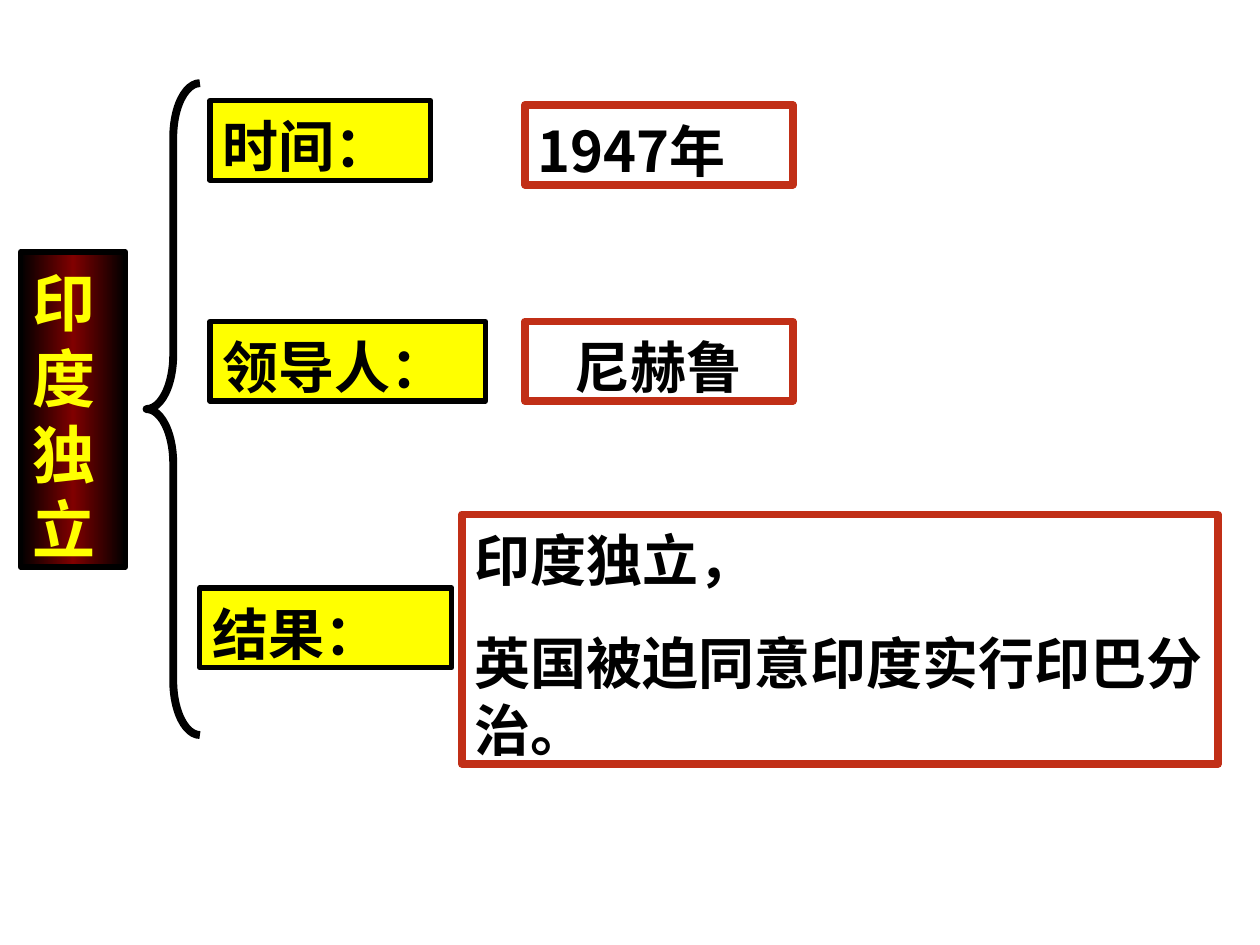
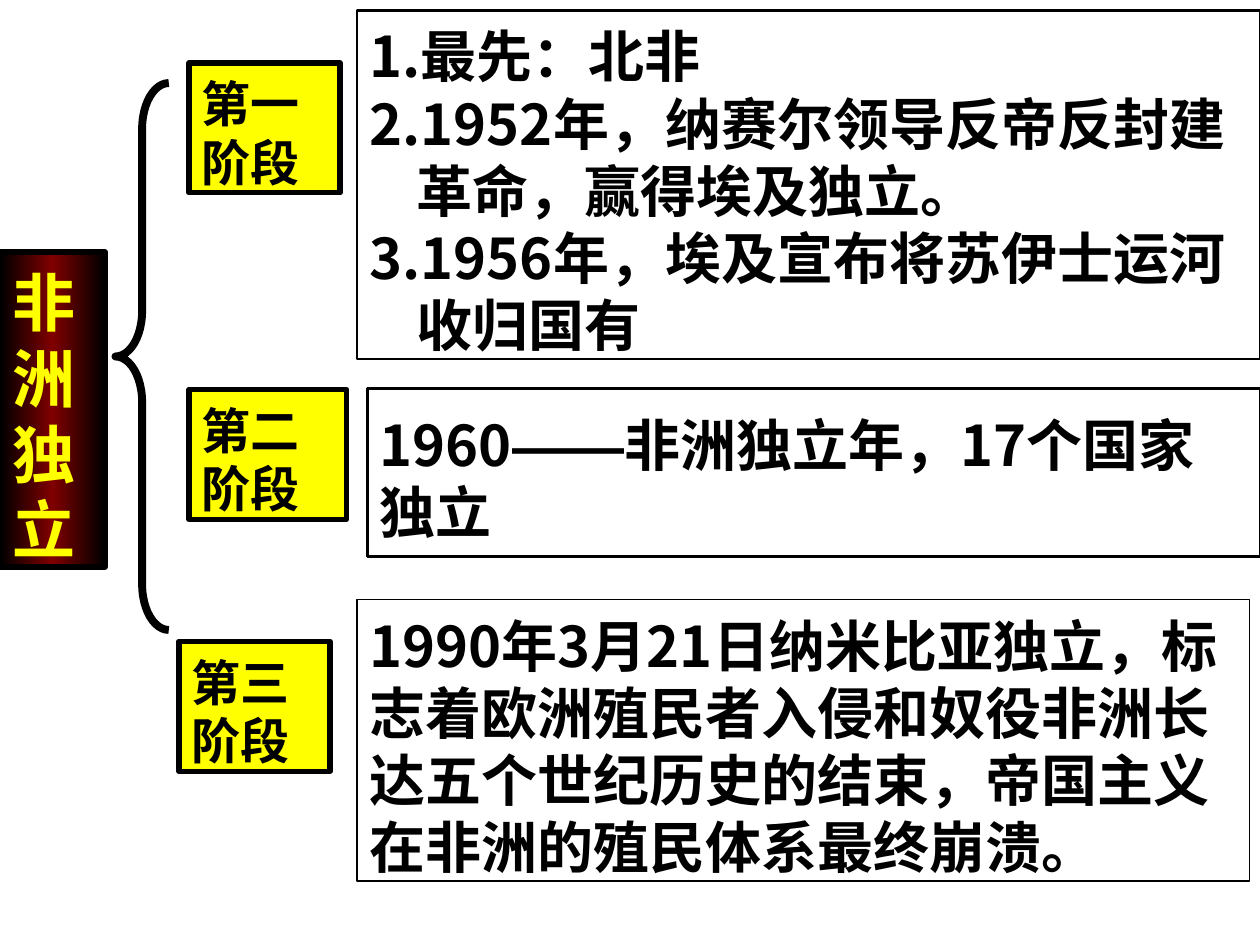
from dataclasses import dataclass

from lxml import etree
from pptx import Presentation
from pptx.dml.color import RGBColor
from pptx.enum.shapes import MSO_SHAPE
from pptx.enum.text import MSO_ANCHOR, MSO_AUTO_SIZE, PP_ALIGN
from pptx.oxml.ns import qn
from pptx.util import Pt

RECTANGLE, LEFT_BRACE = MSO_SHAPE.RECTANGLE, MSO_SHAPE.LEFT_BRACE
TOP, MIDDLE = MSO_ANCHOR.TOP, MSO_ANCHOR.MIDDLE
LEFT, CENTER = PP_ALIGN.LEFT, PP_ALIGN.CENTER
NO_FIT = MSO_AUTO_SIZE.NONE


@dataclass(frozen=True)
class Theme:
    """Colours, fonts and type sizes shared by both slides."""

    ink: str = "000000"
    paper: str = "FFFFFF"
    yellow: str = "FFFF00"
    maroon: str = "800000"
    brick: str = "C12F17"
    cjk: str = "Noto Sans CJK SC"
    latin: str = "Arial"
    topic: int = 36
    body: int = 32
    phase: int = 28
    leading: float = 1.2
    drop: float = 0.09
    gap: int = 20
    hanging: int = 27
    inset_x: float = 7.2
    inset_y: float = 3.6


THEME = Theme()


def add_panel(page, kind, frame, line_color, line_width, fill=None):
    """Add a flat preset shape with the given outline and optional fill."""
    panel = page.shapes.add_shape(kind, *(Pt(value) for value in frame))
    panel.shadow.inherit = False
    if fill:
        panel.fill.solid()
        panel.fill.fore_color.rgb = RGBColor.from_string(fill)
    else:
        panel.fill.background()
    panel.line.color.rgb = RGBColor.from_string(line_color)
    panel.line.width = Pt(line_width)
    return panel


def prepare_text(box, size, anchor=TOP):
    """Set wrapping, insets and anchor of a text frame."""
    frame = box.text_frame
    frame.word_wrap = True
    frame.auto_size = NO_FIT
    frame.vertical_anchor = anchor
    frame.margin_left = frame.margin_right = Pt(THEME.inset_x)
    shift = THEME.drop * size
    frame.margin_top = Pt(THEME.inset_y + shift)
    frame.margin_bottom = Pt(THEME.inset_y - shift)
    return frame


def add_span(para, text, size, color, font):
    """Add one bold run with its Latin and East Asian fonts."""
    span = para.add_run()
    span.text = text
    span.font.size = Pt(size)
    span.font.bold = True
    span.font.name = font
    span.font.color.rgb = RGBColor.from_string(color)
    east_asian = etree.Element(qn("a:ea"), typeface=THEME.cjk)
    span.font._element.find(qn("a:latin")).addnext(east_asian)


def number_para(para):
    """Give a paragraph an automatic number and a hanging indent."""
    properties = para._p.get_or_add_pPr()
    properties.set("marL", str(Pt(THEME.hanging)))
    properties.set("indent", str(-Pt(THEME.hanging)))
    color = etree.SubElement(properties, qn("a:buClr"))
    etree.SubElement(color, qn("a:srgbClr"), val=THEME.ink)
    etree.SubElement(properties, qn("a:buFont"), typeface=THEME.cjk)
    etree.SubElement(properties, qn("a:buAutoNum"), type="arabicPeriod")


def write(box, paras, size, color=THEME.ink, font=THEME.cjk, align=LEFT,
          anchor=TOP, gap=0, numbered=False):
    """Fill a box with paragraphs, each a string or a list of (text, font)."""
    frame = prepare_text(box, size, anchor)
    for index, content in enumerate(paras):
        para = frame.add_paragraph() if index else frame.paragraphs[0]
        if numbered:
            number_para(para)
        para.alignment = align
        para.line_spacing = Pt(size * THEME.leading)
        para.space_before = Pt(gap if index else 0)
        spans = [(content, font)] if isinstance(content, str) else content
        for text, span_font in spans:
            add_span(para, text, size, color, span_font)


def add_topic(page, left, text):
    """Add the narrow gradient banner that names the topic."""
    banner = add_panel(page, RECTANGLE, (left, 144, 60, 180), THEME.ink, 3)
    banner.fill.gradient()
    banner.fill.gradient_angle = 0
    stops = banner._element.spPr.find(".//" + qn("a:gsLst"))
    stops.clear()
    for index, color in enumerate((THEME.ink, THEME.maroon, THEME.ink)):
        stop = etree.SubElement(stops, qn("a:gs"), pos=str(index * 50000))
        etree.SubElement(stop, qn("a:srgbClr"), val=color)
    write(banner, [text], THEME.topic, THEME.yellow, THEME.latin)


def add_brace(page, left, height):
    """Add the brace that joins the topic to its branches."""
    width = 30.5
    brace = add_panel(page, LEFT_BRACE, (left, 47.5, width, height), THEME.ink, 4.5)
    brace.adjustments[0] = height / 12 / width


def add_label(page, frame, text, size):
    """Add a yellow branch label."""
    label = add_panel(page, RECTANGLE, frame, THEME.ink, 3, THEME.yellow)
    write(label, [text], size, font=THEME.latin)


def add_answer(page, frame, paras, line_color, line_width, **style):
    """Add a white outlined box with the content of a branch."""
    answer = add_panel(page, RECTANGLE, frame, line_color, line_width, THEME.paper)
    write(answer, paras, THEME.body, **style)


def build_india(page):
    """Build the slide on Indian independence."""
    add_topic(page, 11.75, "印度独立")
    add_brace(page, 83.75, 372.5)
    for left, top, width, text in (
        (120, 57.5, 126, "时间："),
        (120, 183.75, 157.5, "领导人："),
        (114.25, 336, 144, "结果："),
    ):
        add_label(page, (left, top, width, 45.5), text, THEME.body)
    for frame, paras, align in (
        ((300, 60, 153, 45.5), ["1947年"], LEFT),
        ((300, 183.75, 153, 45.5), ["尼赫鲁"], CENTER),
        ((264, 294, 432, 142.5), ["印度独立，", "英国被迫同意印度实行印巴分治。"], LEFT),
    ):
        add_answer(page, frame, paras, THEME.brick, 4.5, align=align, gap=THEME.gap)


def build_africa(page):
    """Build the slide on African independence."""
    add_answer(page, (204, 6, 516, 199.25), [
        "最先：北非",
        "1952年，纳赛尔领导反帝反封建革命，赢得埃及独立。",
        "1956年，埃及宣布将苏伊士运河收归国有",
    ], THEME.ink, 1.5, numbered=True)
    add_topic(page, 0, "非洲独立")
    add_brace(page, 66, 312.5)
    for left, top, width, text in (
        (108, 36, 86.4, "第一阶段"),
        (108, 222.5, 90, "第二阶段"),
        (102.25, 366.5, 86.4, "第三阶段"),
    ):
        add_label(page, (left, top, width, 74.25), text, THEME.phase)
    year = [("1960", THEME.cjk), ("——", THEME.latin),
            ("非洲独立年，17个国家独立", THEME.cjk)]
    add_answer(page, (210, 222, 510, 96), [year], THEME.ink, 1.5, anchor=MIDDLE)
    add_answer(page, (204, 342.75, 510, 160.75), [
        "1990年3月21日纳米比亚独立，标志着欧洲殖民者入侵和奴役非洲"
        "长达五个世纪历史的结束，帝国主义在非洲的殖民体系最终崩溃。",
    ], THEME.ink, 0.75)


def main():
    """Build and save the deck."""
    deck = Presentation()
    deck.slide_width, deck.slide_height = Pt(720), Pt(540)
    for build in (build_india, build_africa):
        build(deck.slides.add_slide(deck.slide_layouts[6]))
    deck.save("out.pptx")


if __name__ == "__main__":
    main()
